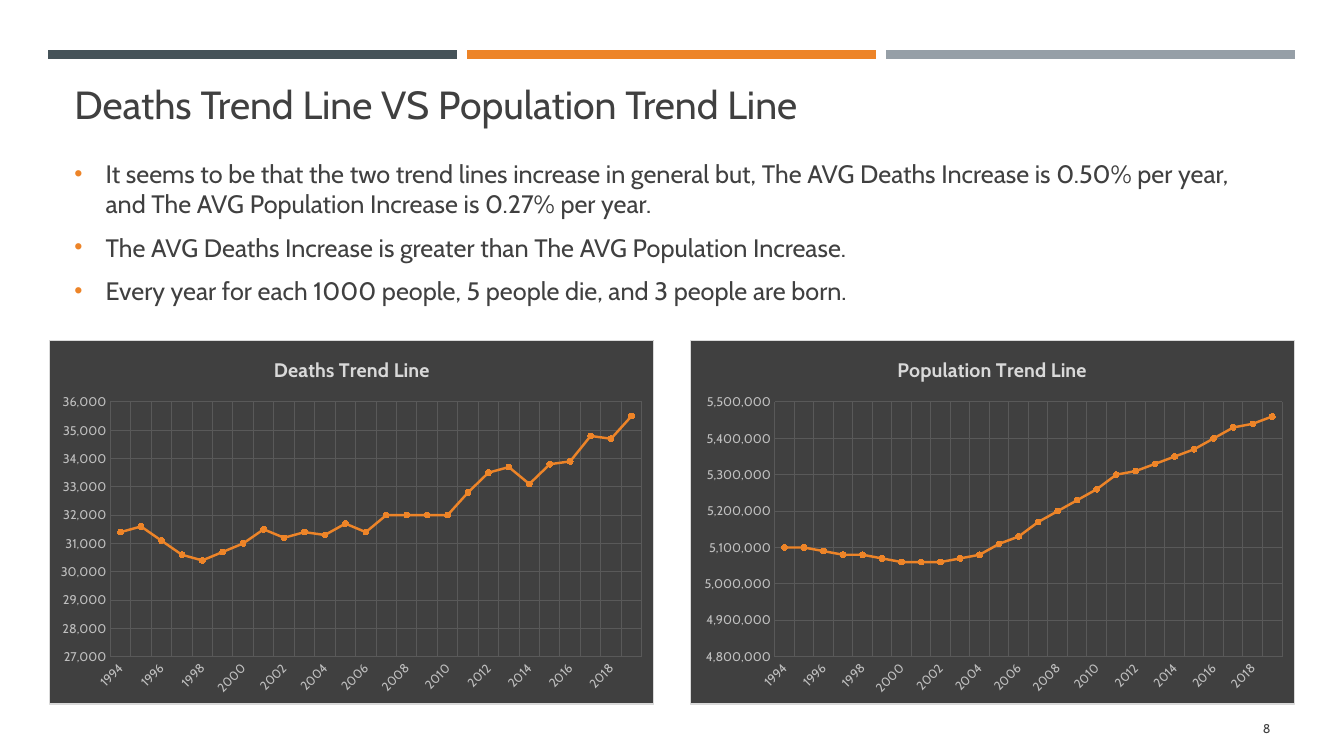
"""Build a slide comparing the deaths and population trend lines."""
from dataclasses import dataclass

from lxml import etree
from pptx import Presentation
from pptx.chart.data import CategoryChartData
from pptx.dml.color import RGBColor
from pptx.enum.chart import XL_CHART_TYPE as ChartType, XL_MARKER_STYLE as Marker
from pptx.enum.chart import XL_TICK_MARK as Tick
from pptx.enum.shapes import MSO_CONNECTOR as Connector
from pptx.enum.text import MSO_ANCHOR as Anchor, PP_ALIGN as Align
from pptx.oxml import parse_xml
from pptx.oxml.ns import nsdecls, qn
from pptx.util import Inches, Pt

FONT = "Cabin"
DARK = RGBColor(0x40, 0x40, 0x40)
SLATE = RGBColor(0x46, 0x53, 0x59)
ORANGE = RGBColor(0xED, 0x84, 0x28)
GRAY = RGBColor(0x96, 0x9F, 0xA7)
GRID = RGBColor(0x59, 0x59, 0x59)
LABEL = RGBColor(0xBF, 0xBF, 0xBF)
LIGHT = RGBColor(0xD9, 0xD9, 0xD9)

WIDTH, HEIGHT = Inches(13.33), Inches(7.5)
BAR_LEFT, BAR_TOP, BAR_WIDTH, BAR_STEP = 3.6, 7.2, 30.38, 31.17
CHART_LEFT, CHART_STEP = 3.68, 47.64
YEARS = [str(year) for year in range(1994, 2020)]


@dataclass(frozen=True)
class Box:
    """Place on the slide in percent of its width and height."""
    left: float
    top: float
    width: float
    height: float

    def emu(self) -> tuple[int, int, int, int]:
        return (share_x(self.left), share_y(self.top),
                share_x(self.width), share_y(self.height))


@dataclass(frozen=True)
class TextBlock:
    box: Box
    lines: tuple[str, ...]
    size: float
    anchor: Anchor = Anchor.MIDDLE
    align: Align = Align.LEFT
    bullets: bool = False


@dataclass(frozen=True)
class Trend:
    title: str
    low: int
    high: int
    step: int
    plot_left: float
    plot_width: float
    unit: int
    values: tuple[int, ...]


TEXTS = (
    TextBlock(Box(4.8, 9.33, 90.17, 8.13),
              ("Deaths Trend Line VS Population Trend Line",), 28, Anchor.BOTTOM),
    TextBlock(Box(4.8, 18, 90.17, 25.33), (
        "It seems to be that the two trend lines increase in general but, The AVG Deaths "
        "Increase is 0.50% per year, and The AVG Population Increase is 0.27% per year.",
        "The AVG Deaths Increase is greater than The AVG Population Increase.",
        "Every year for each 1000 people, 5 people die, and 3 people are born.",
    ), 18, bullets=True),
    TextBlock(Box(86.65, 93.73, 8.63, 5.33), ("8",), 9, align=Align.RIGHT),
)

TRENDS = (
    Trend("Deaths Trend Line", 27000, 36000, 1000, 0.1, 0.88, 100,
          (314, 316, 311, 306, 304, 307, 310, 315, 312, 314, 313, 317, 314,
           320, 320, 320, 320, 328, 335, 337, 331, 338, 339, 348, 347, 355)),
    Trend("Population Trend Line", 4800000, 5500000, 100000, 0.14, 0.84, 10000,
          (510, 510, 509, 508, 508, 507, 506, 506, 506, 507, 508, 511, 513,
           517, 520, 523, 526, 530, 531, 533, 535, 537, 540, 543, 544, 546)),
)


def share_x(percent: float) -> int:
    return int(WIDTH * percent / 100)


def share_y(percent: float) -> int:
    return int(HEIGHT * percent / 100)


def style_font(font, size: float, color: RGBColor, bold: bool = False) -> None:
    font.name, font.size, font.bold = FONT, Pt(size), bold
    font.color.rgb = color


def add_bar(s, column: int, color: RGBColor) -> None:
    left = BAR_LEFT + column * BAR_STEP
    y = share_y(BAR_TOP)
    sp = s.shapes.add_connector(Connector.STRAIGHT, share_x(left), y,
                                share_x(left + BAR_WIDTH), y)
    sp.line.color.rgb, sp.line.width = color, Pt(6.5)
    etree.SubElement(sp._element.spPr, qn("a:effectLst"))


def add_bullet(p) -> None:
    p.space_before, p.space_after = Pt(3.6), Pt(6)
    pPr = p._p.get_or_add_pPr()
    pPr.set("marL", str(Inches(0.31)))
    pPr.set("indent", str(-Inches(0.31)))
    color = etree.SubElement(pPr, qn("a:buClr"))
    etree.SubElement(color, qn("a:srgbClr"), val=str(ORANGE))
    etree.SubElement(pPr, qn("a:buSzPct"), val="92000")
    etree.SubElement(pPr, qn("a:buFont"), typeface="Arial")
    etree.SubElement(pPr, qn("a:buChar"), char="•")


def add_text(s, block: TextBlock) -> None:
    tf = s.shapes.add_textbox(*block.box.emu()).text_frame
    tf.word_wrap, tf.vertical_anchor = True, block.anchor
    for i, line in enumerate(block.lines):
        p = tf.add_paragraph() if i else tf.paragraphs[0]
        p.alignment = block.align
        if block.bullets:
            add_bullet(p)
        r = p.add_run()
        r.text = line
        style_font(r.font, block.size, DARK)


def style_axis(axis) -> None:
    axis.has_major_gridlines = True
    grid = axis.major_gridlines.format.line
    grid.color.rgb, grid.width = GRID, Pt(0.75)
    axis.major_tick_mark = axis.minor_tick_mark = Tick.NONE
    axis.format.line.fill.background()
    style_font(axis.tick_labels.font, 9, LABEL)


def frame_chart(chart, trend: Trend) -> None:
    space = chart._chartSpace
    space.chart.addnext(parse_xml(
        f'<c:spPr {nsdecls("c", "a")}><a:solidFill><a:srgbClr val="{DARK}"/></a:solidFill>'
        f'<a:ln w="{Pt(0.75)}"><a:solidFill><a:srgbClr val="{LIGHT}"/></a:solidFill></a:ln>'
        '</c:spPr>'))
    area = space.chart.plotArea
    for old in area.findall(qn("c:layout")):
        area.remove(old)
    layout = etree.Element(qn("c:layout"))
    manual = etree.SubElement(layout, qn("c:manualLayout"))
    for tag, value in (("layoutTarget", "inner"), ("xMode", "edge"), ("yMode", "edge"),
                       ("x", trend.plot_left), ("y", 0.17),
                       ("w", trend.plot_width), ("h", 0.7)):
        etree.SubElement(manual, qn(f"c:{tag}"), val=str(value))
    area.insert(0, layout)


def add_trend(s, column: int, trend: Trend) -> None:
    data = CategoryChartData(number_format="#,##0")
    data.categories = YEARS
    data.add_series(trend.title, [value * trend.unit for value in trend.values])
    box = Box(CHART_LEFT + column * CHART_STEP, 44.93, 45.01, 48.27)
    chart = s.shapes.add_chart(ChartType.LINE_MARKERS, *box.emu(), data).chart
    style_font(chart.font, 10, LABEL)
    chart.has_legend, chart.has_title = False, True
    r = chart.chart_title.text_frame.paragraphs[0].add_run()
    r.text = trend.title
    style_font(r.font, 14, LIGHT, bold=True)

    years, amounts = chart.category_axis, chart.value_axis
    style_axis(years)
    style_axis(amounts)
    amounts.minimum_scale, amounts.maximum_scale = trend.low, trend.high
    amounts.major_unit = trend.step
    amounts.tick_labels.number_format = "#,##0"
    amounts.tick_labels.number_format_is_linked = False
    years._element.find(f'{qn("c:txPr")}/{qn("a:bodyPr")}').set("rot", "-2700000")
    skip = etree.Element(qn("c:tickLblSkip"), val="2")
    years._element.find(qn("c:noMultiLvlLbl")).addprevious(skip)

    chart.plots[0].vary_by_categories = False
    line = chart.plots[0].series[0]
    line.smooth = False
    line.format.line.color.rgb, line.format.line.width = ORANGE, Pt(1.75)
    line.marker.style, line.marker.size = Marker.CIRCLE, 4
    line.marker.format.fill.solid()
    line.marker.format.fill.fore_color.rgb = ORANGE
    line.marker.format.line.color.rgb = ORANGE
    frame_chart(chart, trend)


def main() -> None:
    prs = Presentation()
    prs.slide_width, prs.slide_height = WIDTH, HEIGHT
    s = prs.slides.add_slide(prs.slide_layouts[6])
    for column, color in enumerate((SLATE, ORANGE, GRAY)):
        add_bar(s, column, color)
    for block in TEXTS:
        add_text(s, block)
    for column, trend in enumerate(TRENDS):
        add_trend(s, column, trend)
    prs.save("out.pptx")


if __name__ == "__main__":
    main()
